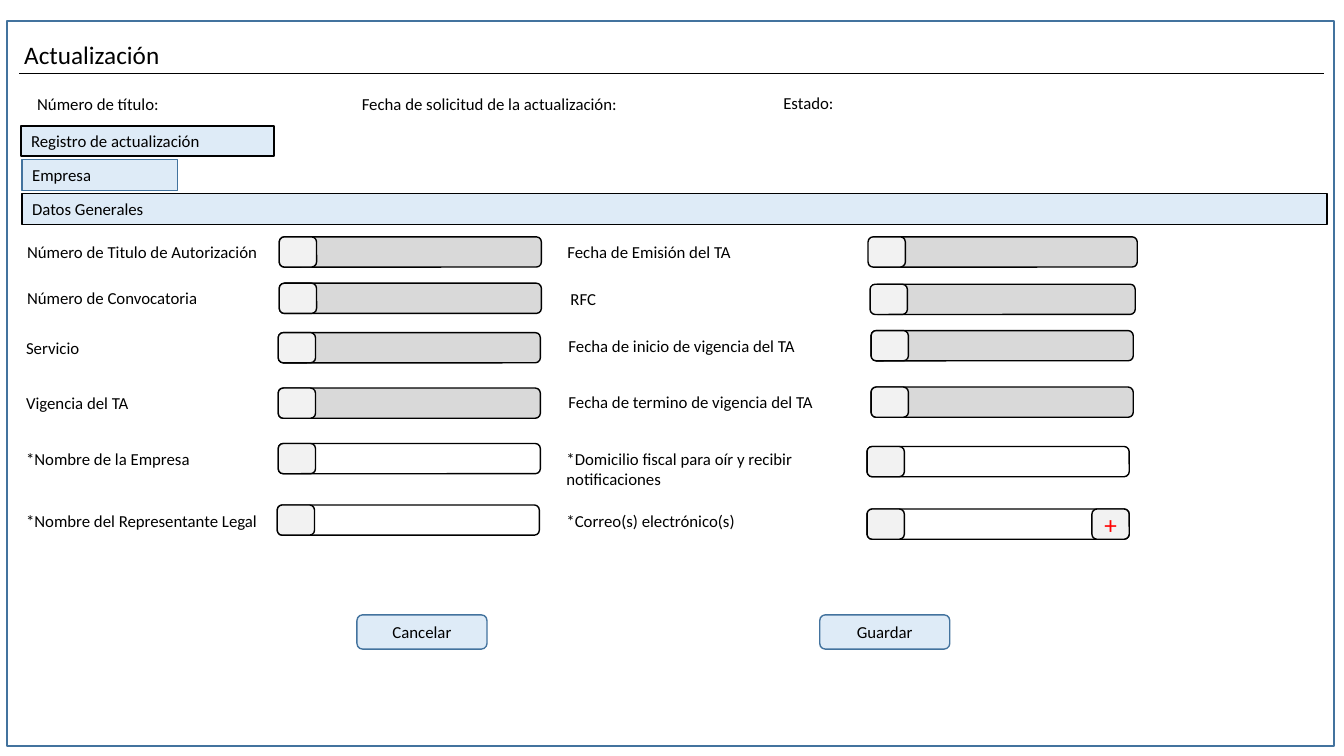
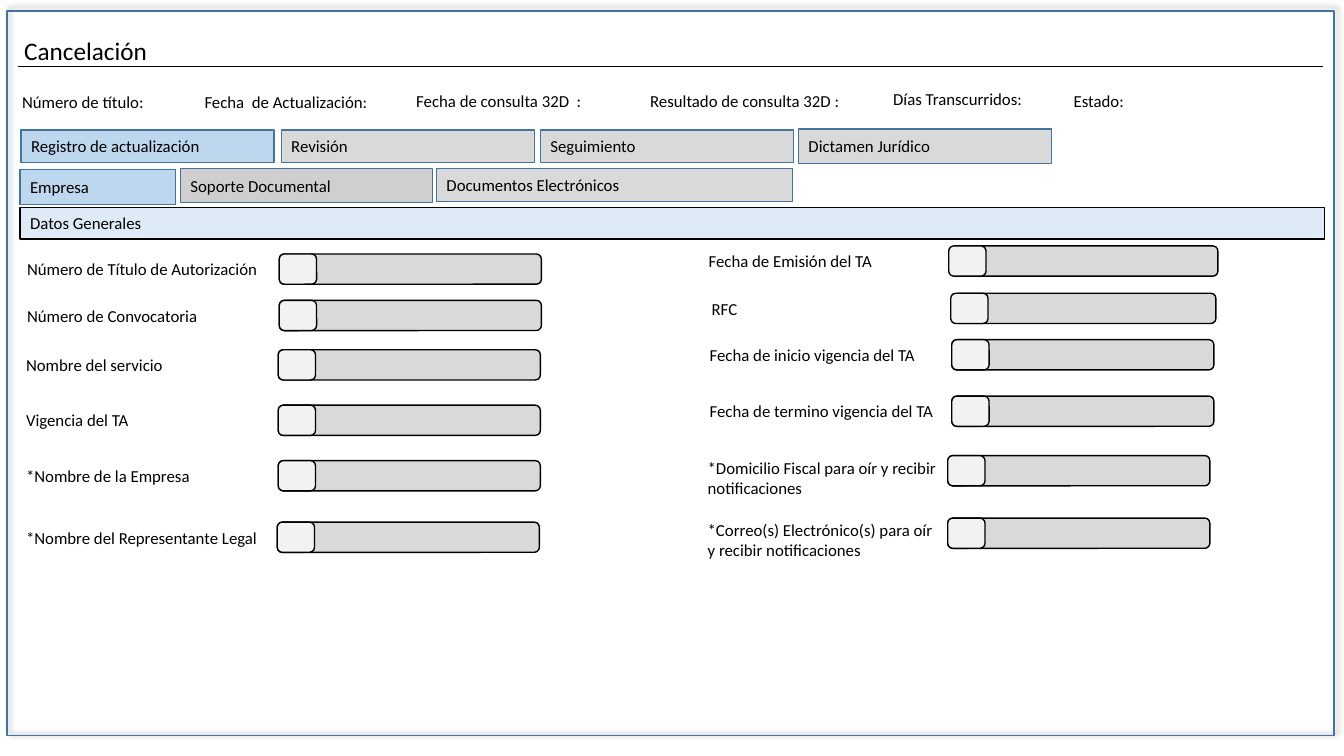
from dataclasses import dataclass

from lxml import etree
from pptx import Presentation
from pptx.dml.color import RGBColor
from pptx.enum.shapes import MSO_CONNECTOR, MSO_SHAPE
from pptx.enum.text import MSO_ANCHOR, MSO_AUTO_SIZE, PP_ALIGN
from pptx.oxml.ns import qn
from pptx.shapes.autoshape import Shape
from pptx.slide import Slide
from pptx.text.text import TextFrame
from pptx.util import Inches, Pt

RECTANGLE, ROUNDED = MSO_SHAPE.RECTANGLE, MSO_SHAPE.ROUNDED_RECTANGLE
LEFT, CENTER = PP_ALIGN.LEFT, PP_ALIGN.CENTER
TOP, MIDDLE = MSO_ANCHOR.TOP, MSO_ANCHOR.MIDDLE
TITLE_ONLY = 5
FONT = "Calibri"
COLORS = {
    "black": "000000", "white": "FFFFFF", "red": "FF0000", "border": "43739E",
    "pale_blue": "DEEBF7", "active_blue": "BDD7EE", "gray": "D9D9D9",
    "warm_gray": "D0CECE", "light_gray": "F2F2F2",
}
FIELD_WIDTH, CAP_WIDTH, FIELD_HEIGHT = 2.6, 0.37, 0.3


@dataclass(frozen=True)
class Box:
    left: float
    top: float
    width: float
    height: float


@dataclass(frozen=True)
class Caption:
    text: str
    left: float
    top: float
    width: float = 2.12


@dataclass(frozen=True)
class Tab:
    text: str
    box: Box
    fill: str
    line: str = "border"


@dataclass(frozen=True)
class Slot:
    """Place of one form row: its label, the cap and the field behind it."""
    label_left: float
    label_top: float
    cap_left: float
    field_left: float
    field_top: float


@dataclass(frozen=True)
class Column:
    slots: list[Slot]
    labels: list[str]
    label_width: float
    label_shift: float = 0
    field_shift: float = 0
    drop: float = 0


@dataclass(frozen=True)
class Form:
    title: str
    title_top: float
    frame_top: float
    rule_left: float
    rule_top: float
    captions: list[Caption]
    tabs: list[Tab]
    columns: list[Column]
    editable_rows: int = 0
    frame_shadow: bool = False


LEFT_SLOTS = [
    Slot(0.17, 2.35, 2.77, 2.77, 2.35),
    Slot(0.17, 2.81, 2.77, 2.77, 2.81),
    Slot(0.16, 3.3, 2.76, 2.76, 3.3),
    Slot(0.16, 3.85, 2.76, 2.76, 3.85),
    Slot(0.16, 4.4, 2.76, 2.76, 4.4),
    Slot(0.16, 5.02, 2.75, 2.75, 5.01),
]
RIGHT_SLOTS = [
    Slot(5.53, 2.35, 8.61, 8.68, 2.35),
    Slot(5.56, 2.82, 8.63, 8.66, 2.82),
    Slot(5.54, 3.28, 8.64, 8.64, 3.28),
    Slot(5.54, 3.84, 8.64, 8.64, 3.84),
    Slot(5.52, 4.4, 8.6, 8.6, 4.43),
    Slot(5.52, 5.02, 8.6, 8.6, 5.05),
]

UPDATE = Form(
    "Actualización", 0.34, 0.21, 0.19, 0.73,
    captions=[
        Caption("Número de título:", 0.27, 0.88, 1.69),
        Caption("Fecha de solicitud de la actualización:", 3.49, 0.88, 2.97),
        Caption("Estado:", 7.67, 0.87),
    ],
    tabs=[
        Tab("Registro de actualización", Box(0.21, 1.25, 2.51, 0.3), "pale_blue", "black"),
        Tab("Empresa", Box(0.22, 1.58, 1.54, 0.31), "pale_blue"),
        Tab("Datos Generales", Box(0.22, 1.92, 12.94, 0.31), "pale_blue", "black"),
    ],
    columns=[
        Column(LEFT_SLOTS, [
            "Número de Titulo de Autorización", "Número de Convocatoria", "Servicio",
            "Vigencia del TA", "*Nombre de la Empresa", "*Nombre del Representante Legal",
        ], 2.6),
        Column(RIGHT_SLOTS, [
            "Fecha de Emisión del TA", "RFC", "Fecha de inicio de vigencia del TA",
            "Fecha de termino de vigencia del TA",
            "*Domicilio fiscal para oír y recibir notificaciones", "*Correo(s) electrónico(s)",
        ], 3.14),
    ],
    editable_rows=2,
)

CANCELLATION = Form(
    "Cancelación", 0.3, 0.11, 0.18, 0.66,
    captions=[
        Caption("Número de título:", 0.12, 0.86, 1.69),
        Caption("Fecha  de Actualización:", 1.93, 0.86),
        Caption("Fecha de consulta 32D  :", 4.03, 0.85),
        Caption("Resultado de consulta 32D :", 6.35, 0.85),
        Caption("Días Transcurridos:", 8.76, 0.83),
        Caption("Estado:", 10.55, 0.85),
    ],
    tabs=[
        Tab("Registro de actualización", Box(0.21, 1.29, 2.51, 0.32), "active_blue"),
        Tab("Revisión", Box(2.79, 1.29, 2.51, 0.32), "gray"),
        Tab("Seguimiento", Box(5.36, 1.29, 2.51, 0.32), "gray"),
        Tab("Dictamen Jurídico", Box(7.92, 1.28, 2.51, 0.34), "gray"),
        Tab("Empresa", Box(0.2, 1.68, 1.54, 0.35), "active_blue"),
        Tab("Soporte Documental", Box(1.79, 1.67, 2.5, 0.34), "warm_gray"),
        Tab("Documentos Electrónicos", Box(4.33, 1.67, 3.53, 0.33), "gray"),
        Tab("Datos Generales", Box(0.2, 2.06, 12.94, 0.31), "pale_blue", "black"),
    ],
    columns=[
        Column(LEFT_SLOTS, [
            "Número de Título de Autorización", "Número de Convocatoria", "Nombre del servicio",
            "Vigencia del TA", "*Nombre de la Empresa", "*Nombre del Representante Legal",
        ], 2.6, drop=0.17),
        Column(RIGHT_SLOTS, [
            "Fecha de Emisión del TA", "RFC", "Fecha de inicio vigencia del TA",
            "Fecha de termino vigencia del TA",
            "*Domicilio Fiscal para oír y recibir notificaciones",
            "*Correo(s) Electrónico(s) para oír y recibir notificaciones",
        ], 2.49, label_shift=1.4, field_shift=0.8, drop=0.09),
    ],
    frame_shadow=True,
)


def rgb(name: str) -> RGBColor:
    return RGBColor.from_string(COLORS[name])


def lengths(box: Box) -> tuple[Inches, Inches, Inches, Inches]:
    return Inches(box.left), Inches(box.top), Inches(box.width), Inches(box.height)


def write(frame: TextFrame, text: str, size: int = 12, color: str = "black",
          align: PP_ALIGN = LEFT, anchor: MSO_ANCHOR = MIDDLE) -> None:
    frame.word_wrap = True
    frame.vertical_anchor = anchor
    paragraph = frame.paragraphs[0]
    paragraph.alignment = align
    run = paragraph.add_run()
    run.text = text
    run.font.name = FONT
    run.font.size = Pt(size)
    run.font.color.rgb = rgb(color)


def add_box(slide: Slide, kind: MSO_SHAPE, box: Box, fill: str | None,
            line: str = "black") -> Shape:
    shape = slide.shapes.add_shape(kind, *lengths(box))
    shape.shadow.inherit = False
    if fill:
        shape.fill.solid()
        shape.fill.fore_color.rgb = rgb(fill)
    else:
        shape.fill.background()
    shape.line.color.rgb = rgb(line)
    shape.line.width = Pt(1)
    return shape


def add_label(slide: Slide, text: str, box: Box) -> None:
    frame = slide.shapes.add_textbox(*lengths(box)).text_frame
    write(frame, text, anchor=TOP)
    frame.auto_size = MSO_AUTO_SIZE.SHAPE_TO_FIT_TEXT


def add_soft_shadow(shape: Shape) -> None:
    effects = shape._element.spPr.find(qn("a:effectLst"))
    shadow = etree.SubElement(effects, qn("a:outerShdw"), blurRad=str(Pt(4)), dist=str(Pt(3)),
                              dir="18900000", algn="bl", rotWithShape="0")
    color = etree.SubElement(shadow, qn("a:srgbClr"), val=COLORS["black"])
    etree.SubElement(color, qn("a:alpha"), val="40000")


def add_heading(slide: Slide, form: Form) -> None:
    """Place the title and the thin rule below it."""
    title = slide.shapes.title
    title.left, title.top, title.width, title.height = lengths(Box(0.14, form.title_top, 5.11, 0.4))
    write(title.text_frame, form.title, size=18, anchor=TOP)
    title.text_frame.auto_size = MSO_AUTO_SIZE.SHAPE_TO_FIT_TEXT
    rule = slide.shapes.add_connector(
        MSO_CONNECTOR.STRAIGHT, Inches(form.rule_left), Inches(form.rule_top),
        Inches(form.rule_left + 12.94), Inches(form.rule_top))
    rule.line.color.rgb = rgb("black")
    rule.line.width = Pt(0.5)
    etree.SubElement(rule._element.spPr, qn("a:effectLst"))


def add_column(slide: Slide, column: Column, editable_rows: int) -> None:
    first_editable = len(column.slots) - editable_rows
    for row, (slot, label) in enumerate(zip(column.slots, column.labels)):
        top = slot.field_top + column.drop
        fill = "white" if row >= first_editable else "gray"
        field_left = slot.field_left + column.field_shift
        cap_left = slot.cap_left + column.field_shift
        add_box(slide, ROUNDED, Box(field_left, top, FIELD_WIDTH, FIELD_HEIGHT), fill)
        add_box(slide, ROUNDED, Box(cap_left, top, CAP_WIDTH, FIELD_HEIGHT), "light_gray")
        height = 0.5 if "notificaciones" in label else 0.3
        add_label(slide, label, Box(slot.label_left + column.label_shift,
                                    slot.label_top + column.drop, column.label_width, height))


def add_form(presentation: Presentation, form: Form) -> Slide:
    slide = presentation.slides.add_slide(presentation.slide_layouts[TITLE_ONLY])
    frame = add_box(slide, RECTANGLE, Box(0.07, form.frame_top, 13.16, 7.19), None, "border")
    if form.frame_shadow:
        add_soft_shadow(frame)
    add_heading(slide, form)
    for caption in form.captions:
        add_label(slide, caption.text, Box(caption.left, caption.top, caption.width, 0.3))
    for tab in form.tabs:
        shape = add_box(slide, RECTANGLE, tab.box, tab.fill, tab.line)
        write(shape.text_frame, tab.text)
    for column in form.columns:
        add_column(slide, column, form.editable_rows)
    return slide


def add_update_buttons(slide: Slide) -> None:
    for text, left in (("Cancelar", 3.54), ("Guardar", 8.13)):
        button = add_box(slide, ROUNDED, Box(left, 6.1, 1.29, 0.34), "pale_blue", "border")
        write(button.text_frame, text, align=CENTER)
    plus = add_box(slide, ROUNDED, Box(10.83, 5.05, CAP_WIDTH, FIELD_HEIGHT), "light_gray")
    write(plus.text_frame, "+", size=18, color="red", align=CENTER)


def main() -> None:
    presentation = Presentation()
    presentation.slide_width = Inches(13.33)
    presentation.slide_height = Inches(7.5)
    add_update_buttons(add_form(presentation, UPDATE))
    add_form(presentation, CANCELLATION)
    presentation.save("out.pptx")


if __name__ == "__main__":
    main()
